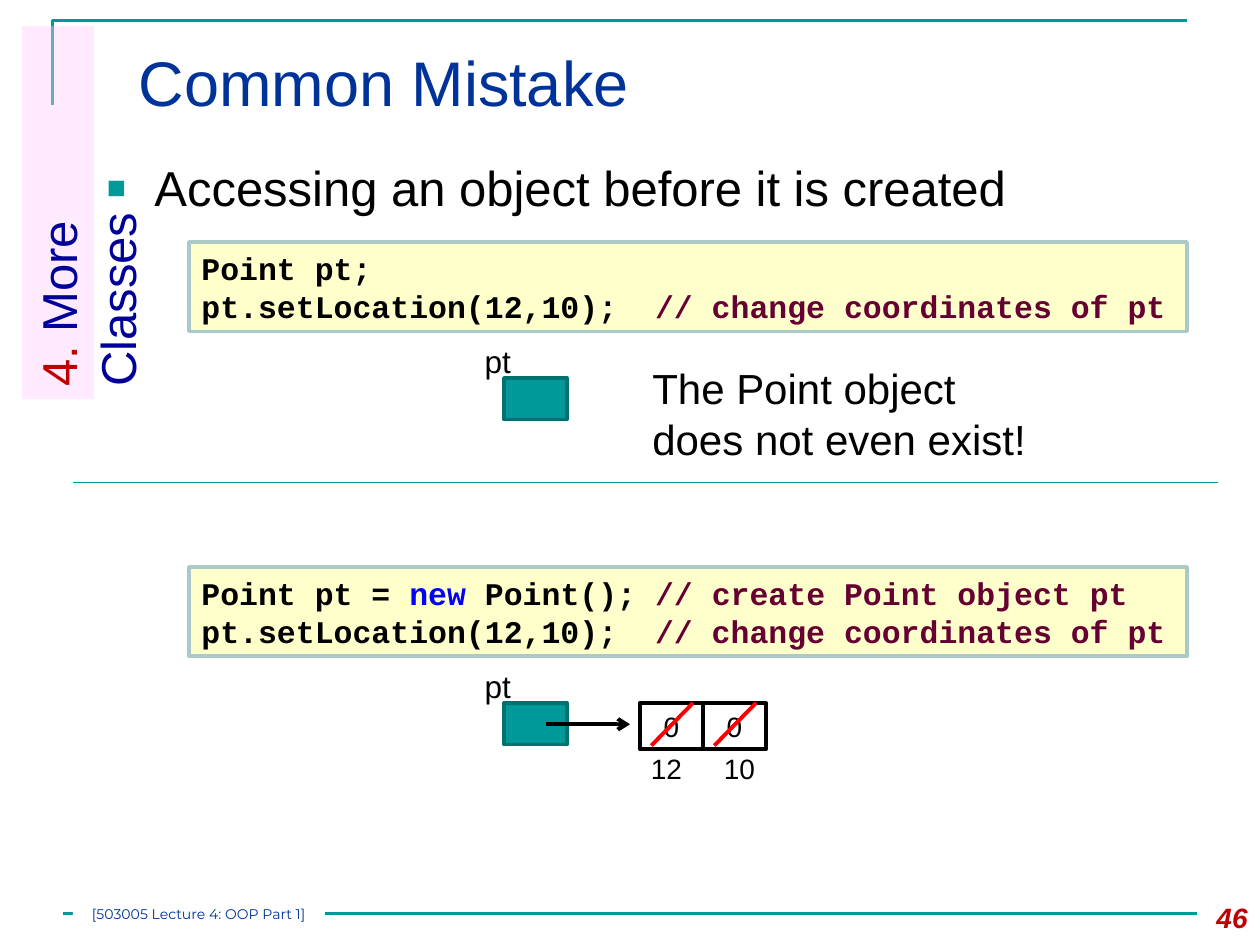
from lxml.etree import SubElement
from pptx import Presentation
from pptx.dml.color import RGBColor
from pptx.enum.shapes import MSO_CONNECTOR, MSO_SHAPE
from pptx.enum.text import MSO_ANCHOR as Anchor, MSO_AUTO_SIZE as AutoSize, PP_ALIGN as Align
from pptx.oxml.ns import qn
from pptx.util import Cm, Pt

TEAL = RGBColor(0x00, 0x99, 0x99)
DARK_TEAL = RGBColor(0x00, 0x71, 0x71)
DIVIDER_TEAL = RGBColor(0x00, 0x96, 0x96)
BLUE = RGBColor(0x00, 0x33, 0x99)
NAVY = RGBColor(0x00, 0x00, 0x99)
KEYWORD = RGBColor(0x00, 0x00, 0xFF)
COMMENT = RGBColor(0x66, 0x00, 0x33)
DARK_RED = RGBColor(0xC0, 0x00, 0x00)
RED = RGBColor(0xFF, 0x00, 0x00)
PINK = RGBColor(0xFF, 0xCC, 0xFF)
CREAM = RGBColor(0xFF, 0xFF, 0xCC)
CODE_BORDER = RGBColor(0xAA, 0xCA, 0xCA)
BLACK = RGBColor(0x00, 0x00, 0x00)
WHITE = RGBColor(0xFF, 0xFF, 0xFF)

CELL_WIDTH = 1.27
MOVE_CALL = [("pt.setLocation(12,10);  ", BLACK), ("// change coordinates of pt", COMMENT)]


def write(shape, lines, size, font="Arial", align=Align.LEFT, anchor=Anchor.TOP,
          bold=False, italic=False):
    """Fill a shape with lines, each a list of (text, colour) pieces."""
    frame = shape.text_frame
    frame.word_wrap = True
    frame.auto_size = AutoSize.NONE
    frame.vertical_anchor = anchor
    for number, pieces in enumerate(lines):
        para = frame.add_paragraph() if number else frame.paragraphs[0]
        para.alignment = align
        for text, color in pieces:
            span = para.add_run()
            span.text = text
            span.font.name = font
            span.font.size = Pt(size)
            span.font.bold = bold
            span.font.italic = italic
            span.font.color.rgb = color


def place(shape, left, top, width, height):
    shape.left, shape.top = Cm(left), Cm(top)
    shape.width, shape.height = Cm(width), Cm(height)


def add_label(slide, text, left, top, width, height, size, color=BLACK, **style):
    box = slide.shapes.add_textbox(Cm(left), Cm(top), Cm(width), Cm(height))
    write(box, [[(text, color)]], size, **style)


def add_box(slide, left, top, width, height, fill, line=None, weight=2):
    box = slide.shapes.add_shape(MSO_SHAPE.RECTANGLE, Cm(left), Cm(top), Cm(width), Cm(height))
    box.shadow.inherit = False
    box.fill.solid()
    box.fill.fore_color.rgb = fill
    if line is None:
        box.line.fill.background()
    else:
        box.line.color.rgb = line
        box.line.width = Pt(weight)
    return box


def add_line(slide, start, end, color, weight, arrow=False):
    line = slide.shapes.add_connector(
        MSO_CONNECTOR.STRAIGHT, Cm(start[0]), Cm(start[1]), Cm(end[0]), Cm(end[1]))
    line.line.color.rgb = color
    line.line.width = Pt(weight)
    if arrow:
        SubElement(line.line._get_or_add_ln(), qn("a:tailEnd"), type="arrow")
    SubElement(line._element.spPr, qn("a:effectLst"))


def add_corner_frame(slide):
    builder = slide.shapes.build_freeform(Cm(1.06), Cm(2.12))
    builder.add_line_segments([(Cm(1.06), Cm(0.42)), (Cm(23.92), Cm(0.42))], close=False)
    frame = builder.convert_to_shape()
    frame.shadow.inherit = False
    frame.fill.background()
    frame.line.color.rgb = TEAL
    frame.line.width = Pt(1.5)


def add_bullet(para):
    para.space_before = Pt(0)
    props = para._p.get_or_add_pPr()
    props.set("marL", str(Cm(0.96)))
    props.set("indent", str(-Cm(0.96)))
    color = SubElement(props, qn("a:buClr"))
    SubElement(color, qn("a:srgbClr"), val=str(TEAL))
    SubElement(props, qn("a:buSzPct"), val="65000")
    SubElement(props, qn("a:buFont"), typeface="Arial")
    SubElement(props, qn("a:buChar"), char="■")


def add_chapter_tab(slide):
    tab = add_box(slide, -2.59, 3.56, 7.52, 1.45, PINK)
    tab.rotation = 270
    color = tab._element.spPr.find(qn("a:solidFill")).find(qn("a:srgbClr"))
    SubElement(color, qn("a:alpha"), val="40000")
    write(tab, [[("4.", DARK_RED), (" More Classes", NAVY)]], 28)


def add_example(slide, top, lines):
    """Code panel with the variable pt drawn below it."""
    panel = add_box(slide, 3.81, top, 20.12, 1.8, CREAM, CODE_BORDER)
    write(panel, lines, 18, font="Courier New", anchor=Anchor.MIDDLE, bold=True)
    add_box(slide, 10.16, top + 2.74, 1.27, 0.84, TEAL, DARK_TEAL)
    add_label(slide, "pt", 9.52, top + 1.9, 1.47, 1.02, 18)


def add_point_object(slide):
    """Two fields whose zeros are struck out, with the new values below."""
    top = 14.17
    for number, value in enumerate(("12", "10")):
        left = 12.9 + number * CELL_WIDTH
        cell = add_box(slide, left, top, CELL_WIDTH, 0.94, WHITE, BLACK, 2.25)
        write(cell, [[("0", BLACK)]], 16, align=Align.CENTER, anchor=Anchor.MIDDLE)
        add_label(slide, value, 12.7 + number * 1.47, 15.03, 1.47, 0.94, 16, align=Align.CENTER)
    for number in range(2):
        left = 13.13 + number * CELL_WIDTH
        add_line(slide, (left + 0.84, top), (left, top + 0.86), RED, 2.25)
    add_line(slide, (11, 14.6), (12.7, 14.6), BLACK, 2.25, arrow=True)


def add_footer(slide):
    add_line(slide, (1.27, 18.42), (24.13, 18.42), TEAL, 1.5)
    footer = add_box(slide, 1.47, 18.2, 5.08, 0.43, WHITE)
    frame = footer.text_frame
    frame.margin_left = frame.margin_right = frame.margin_top = frame.margin_bottom = 0
    write(footer, [[("[503005 Lecture 4: OOP Part 1]", BLUE)]], 8, font="Montserrat",
          align=Align.CENTER, anchor=Anchor.MIDDLE)
    add_label(slide, "46", 23.7, 18.03, 1.7, 1.02, 16, DARK_RED,
              align=Align.RIGHT, bold=True, italic=True)


def main():
    deck = Presentation()
    deck.slide_width, deck.slide_height = Cm(25.4), Cm(19.05)
    slide = deck.slides.add_slide(deck.slide_layouts[1])
    title, body = slide.placeholders

    add_corner_frame(slide)
    place(title, 2.54, 0.54, 21.59, 2.18)
    write(title, [[("Common Mistake", BLUE)]], 36, anchor=Anchor.MIDDLE)
    place(body, 1.9, 3.05, 22.22, 1.7)
    add_bullet(body.text_frame.paragraphs[0])
    write(body, [[("Accessing an object before it is created", BLACK)]], 28)
    add_chapter_tab(slide)

    add_example(slide, 4.88, [[("Point pt;", BLACK)], MOVE_CALL])
    add_label(slide, "The Point object does not even exist!", 12.9, 7.19, 8.05, 2.31, 24)
    add_line(slide, (1.47, 9.73), (24.56, 9.73), DIVIDER_TEAL, 0.75)

    creation = [("Point pt = ", BLACK), ("new", KEYWORD), (" Point(); ", BLACK),
                ("// create Point object pt", COMMENT)]
    add_example(slide, 11.43, [creation, MOVE_CALL])
    add_point_object(slide)
    add_footer(slide)
    deck.save("out.pptx")


if __name__ == "__main__":
    main()
